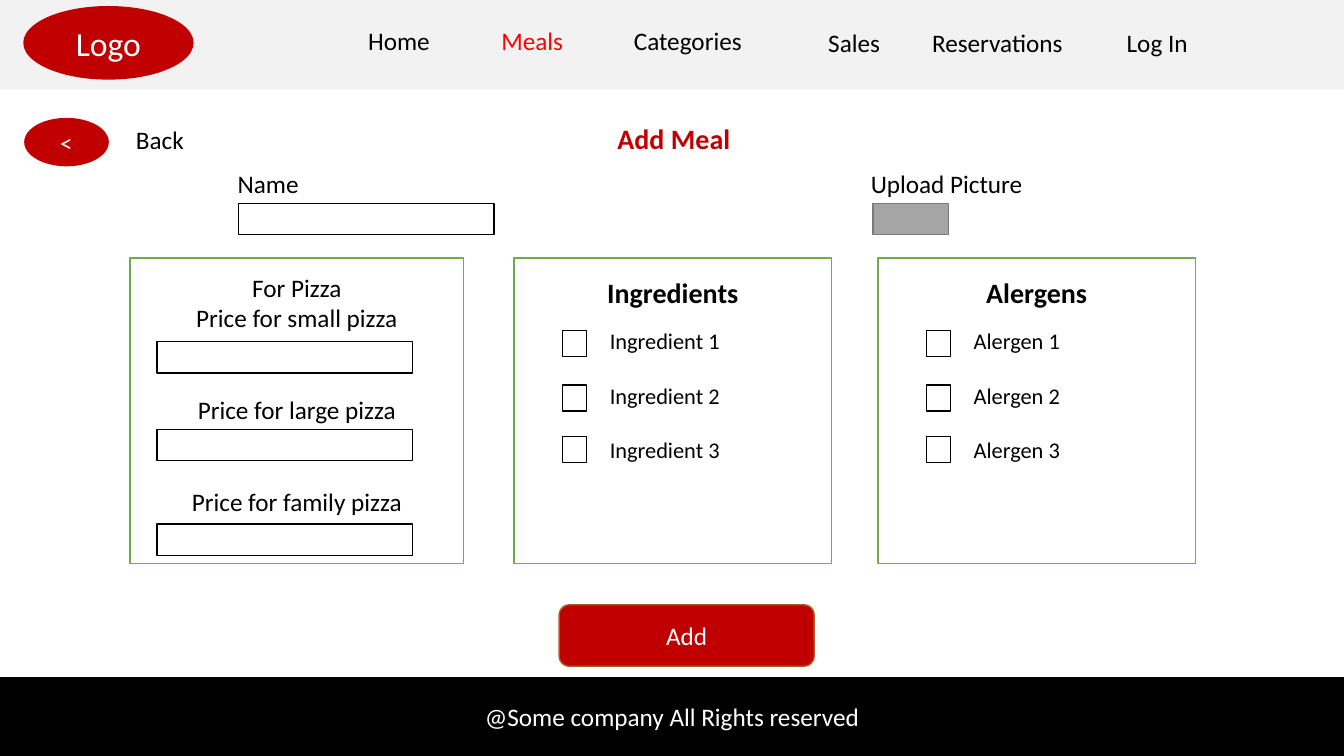
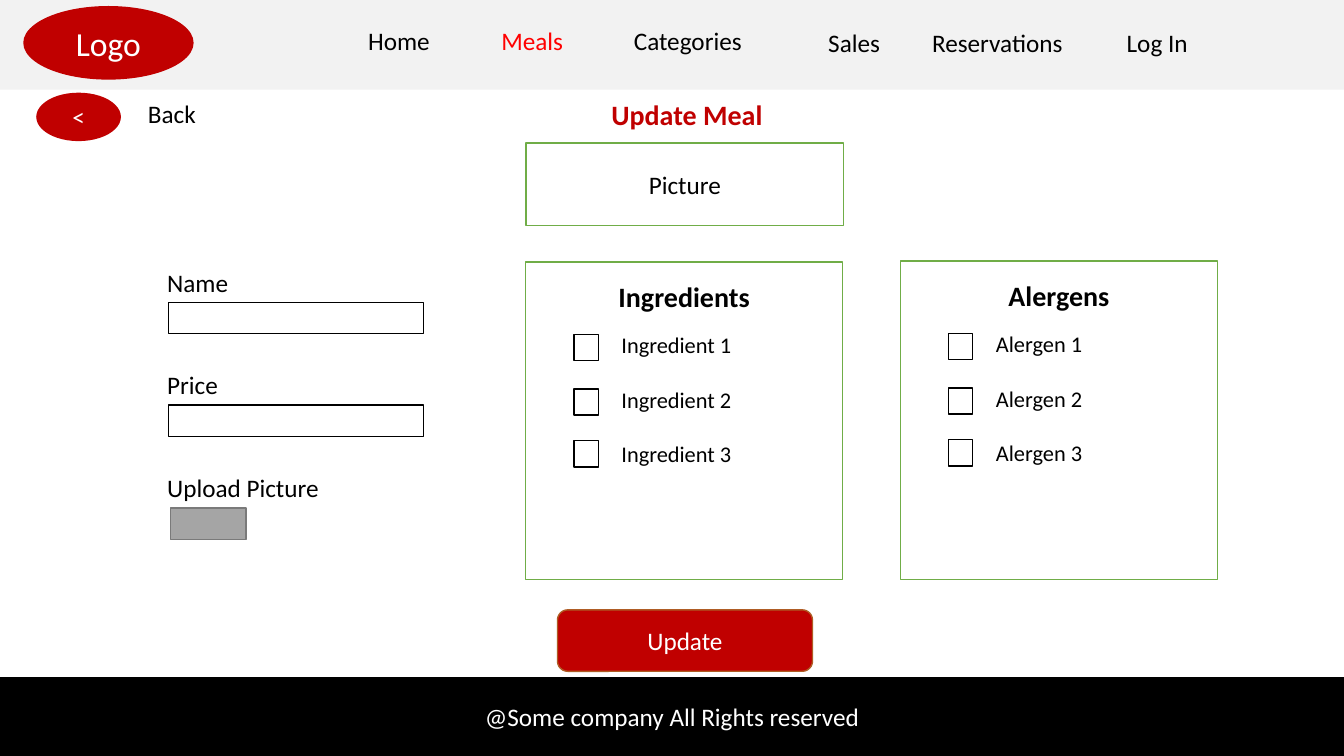
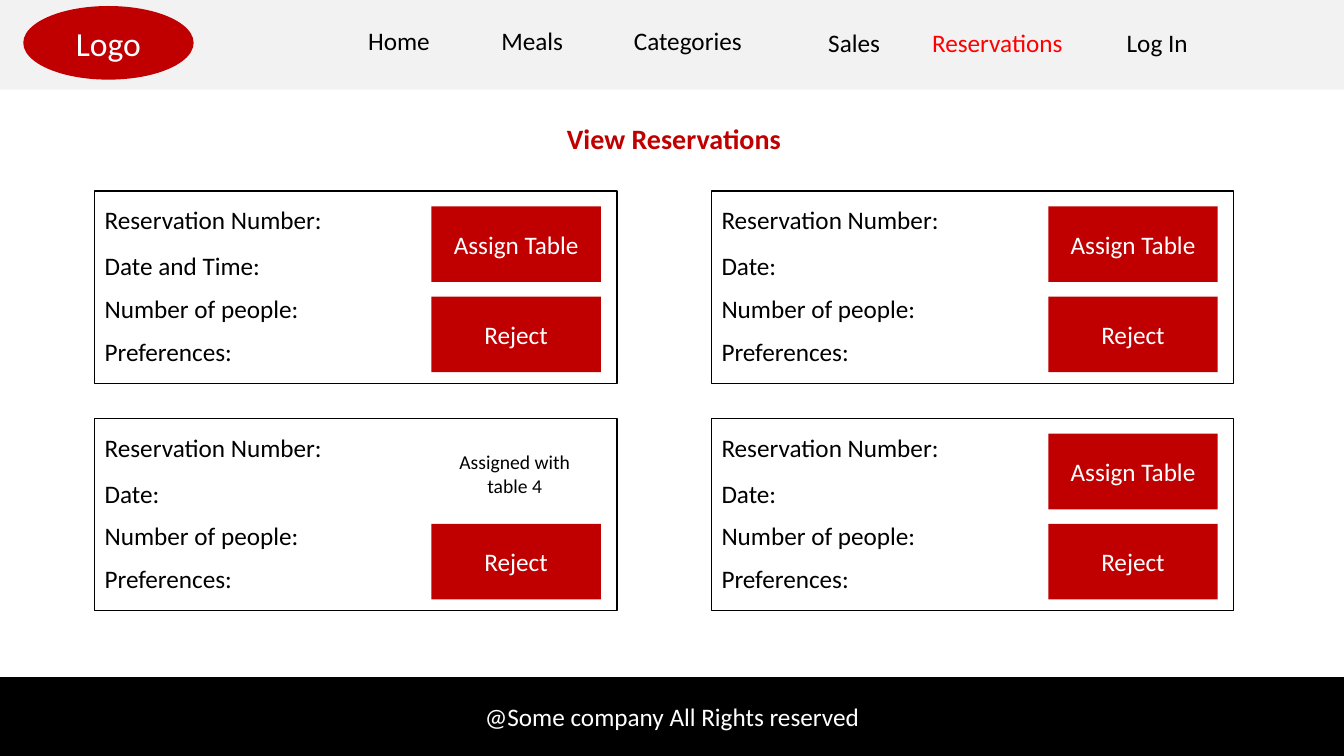
import pptx
import pptx.util
import pptx.dml.color
import pptx.enum.shapes
import pptx.enum.text
from dataclasses import dataclass
from lxml import etree

Pt = pptx.util.Pt
SHAPE = pptx.enum.shapes.MSO_SHAPE
ALIGN = pptx.enum.text.PP_ALIGN
ANCHOR = pptx.enum.text.MSO_ANCHOR


@dataclass(frozen=True)
class Theme:
    font: str = "Calibri"
    red: str = "C00000"
    active: str = "FF0000"
    black: str = "000000"
    white: str = "FFFFFF"
    band: str = "F2F2F2"
    green: str = "70AD47"
    gray: str = "A5A5A5"
    gray_edge: str = "7A7A7A"
    button_edge: str = "AF5C24"
    logo: int = 24
    title: int = 20
    text: int = 18
    item: int = 16
    note: int = 14
    line_height: float = 1.22


T = Theme()
W, H = 960, 540
FOOTER = "@Some company All Rights reserved"
NAV = [
    ("Home", 249, 14.4, 72),
    ("Meals", 344.2, 14.4, 72),
    ("Categories", 429.8, 14.4, 123),
    ("Sales", 548.6, 15.8, 123),
    ("Reservations", 650.9, 15.8, 123),
    ("Log In", 790.6, 15.8, 72),
]
INGREDIENTS = ("Ingredients", ["Ingredient 1", "Ingredient 2", "Ingredient 3"])
ALERGENS = ("Alergens", ["Alergen 1", "Alergen 2", "Alergen 3"])
MEAL_PAGES = [
    dict(title="Add Meal", title_at=(286.6, 83.5), back_at=(17.3, 84.2),
         fields=[("Name", 162.7, 116.6)], upload=(614.9, 116.6),
         upload_dx=8.6, action="Add", action_at=(399.4, 432),
         panels=[(INGREDIENTS, (367.2, 184.3, 226.8, 218.2)),
                 (ALERGENS, (627.1, 184.3, 226.8, 218.2))],
         pizza=(92.9, 184.3, 238.3, 218.2)),
    dict(title="Update Meal", title_at=(295.9, 66.2), back_at=(25.9, 66.2),
         fields=[("Name", 112.3, 187.2), ("Price", 112.3, 260.6)],
         upload=(112.3, 334.1), upload_dx=9.4,
         action="Update", action_at=(398.2, 435.6),
         panels=[(INGREDIENTS, (375.5, 187.2, 226.4, 226.8)),
                 (ALERGENS, (643, 186.5, 226.8, 227.5))],
         picture=(375.8, 102.2, 226.8, 59)),
]
PIZZA_PRICES = ["For Pizza", "Price for small pizza", "Price for large pizza",
                "Price for family pizza"]
PRICE_TOPS = (244.1, 306.7, 374.4)
CARDS = [("Date and Time:", "Assign Table"), ("Date:", "Assign Table"),
         ("Date:", "Assigned with table 4"), ("Date:", "Assign Table")]

prs = pptx.Presentation()
prs.slide_width, prs.slide_height = Pt(W), Pt(H)
TITLE_ONLY, TWO_CONTENT = prs.slide_layouts[5], prs.slide_layouts[3]


def rgb(value):
    return pptx.dml.color.RGBColor.from_string(value)


def write(sp, text, size=T.text, color=T.black, bold=False, align=ALIGN.LEFT,
          anchor=ANCHOR.TOP, gaps=None, inset_top=3.6):
    lines = [text] if isinstance(text, str) else text
    tf = sp.text_frame
    tf.auto_size = pptx.enum.text.MSO_AUTO_SIZE.NONE
    tf.word_wrap = True
    tf.vertical_anchor = anchor
    tf.margin_left = tf.margin_right = Pt(7.2)
    tf.margin_top, tf.margin_bottom = Pt(inset_top), Pt(3.6)
    for i, line in enumerate(lines):
        p = tf.paragraphs[0] if i == 0 else tf.add_paragraph()
        p.alignment = align
        p.space_before = Pt(gaps[i] if gaps else 0)
        r = p.add_run()
        r.text = line
        r.font.name, r.font.size, r.font.bold = T.font, Pt(size), bold
        r.font.color.rgb = rgb(color)
    return sp


def label(s, text, x, y, w, h=29, **fmt):
    return write(s.shapes.add_textbox(Pt(x), Pt(y), Pt(w), Pt(h)), text, **fmt)


def box(s, x, y, w, h, fill=T.white, line=None, kind=SHAPE.RECTANGLE):
    sp = s.shapes.add_shape(kind, Pt(x), Pt(y), Pt(w), Pt(h))
    sp.shadow.inherit = False
    if fill:
        sp.fill.solid()
        sp.fill.fore_color.rgb = rgb(fill)
    else:
        sp.fill.background()
    if line:
        sp.line.color.rgb = rgb(line)
        sp.line.width = Pt(1)
    else:
        sp.line.fill.background()
    return sp


def caption(sp, text, color=T.white, size=T.text):
    return write(sp, text, color=color, size=size, align=ALIGN.CENTER, anchor=ANCHOR.MIDDLE)


def place(s, sp, x, y, w, h):
    sp.left, sp.top, sp.width, sp.height = Pt(x), Pt(y), Pt(w), Pt(h)
    s.shapes.element.append(sp.element)
    return sp


def new_page(layout, title, title_at, active):
    s = prs.slides.add_slide(layout)
    box(s, 0, 0, W, 64.1, fill=T.band)
    for text, x, y, w in NAV:
        label(s, text, x, y, w, color=T.active if text == active else T.black,
              align=ALIGN.CENTER)
    caption(box(s, 16.6, 4.3, 121.7, 52.6, fill=T.red, kind=SHAPE.OVAL), "Logo", size=T.logo)
    caption(box(s, 0, 483.8, W, 56.2, fill=T.black, line=T.black), FOOTER)
    write(place(s, s.shapes.title, *title_at, 389.5, 31.5), title, size=T.title,
          color=T.red, bold=True, align=ALIGN.CENTER)
    return s


def input_box(s, x, y):
    box(s, x, y, 182.2, 22.3, line=T.black)


def check_panel(s, body, heading, items, x, y, w, h):
    box(s, x, y, w, h, line=T.green)
    label(s, heading, x, y + 9, w, 31.5, size=T.title, bold=True, align=ALIGN.CENTER)
    for dy in (51.7, 90.6, 127.6):
        box(s, x + 34.6, y + dy, 17.3, 18.7, fill=None, line=T.black)
    gap = T.item * T.line_height
    write(place(s, body, x + 61.2, y + 46, 149.8, 104.4), items, size=T.item,
          gaps=[0, gap, gap])
    for p in body.text_frame.paragraphs:
        pPr = p._p.get_or_add_pPr()
        pPr.set("marL", "0")
        pPr.set("indent", "0")
        etree.SubElement(pPr, pptx.oxml.ns.qn("a:buNone"))


def pizza_panel(s, x, y, w, h):
    line = T.text * T.line_height
    write(box(s, x, y, w, h, line=T.green), PIZZA_PRICES, align=ALIGN.CENTER,
          gaps=[0, 0, 2 * line, 2 * line], inset_top=(h - 9 * line) / 2)
    for top in PRICE_TOPS:
        input_box(s, x + 19.4, top)


def meal_page(page):
    s = new_page(TWO_CONTENT, page["title"], page["title_at"], "Meals")
    bodies = [ph for ph in s.placeholders if ph.placeholder_format.idx in (1, 2)]
    x, y = page["back_at"]
    caption(box(s, x, y, 60.5, 34.6, fill=T.red, kind=SHAPE.OVAL), "<")
    label(s, "Back", x + 72.7, y + 0.7, 52)
    for name, x, y in page["fields"]:
        label(s, name, x, y, 182.2)
        input_box(s, x + 7.9, y + 28.8)
    x, y = page["upload"]
    label(s, "Upload Picture", x, y, 128.9)
    box(s, x + page["upload_dx"], y + 28.8, 54, 22.3, fill=T.gray, line=T.gray_edge)
    for body, ((heading, items), area) in zip(bodies, page["panels"]):
        check_panel(s, body, heading, items, *area)
    if "pizza" in page:
        pizza_panel(s, *page["pizza"])
    if "picture" in page:
        caption(box(s, *page["picture"], line=T.green), "Picture", color=T.black)
    caption(box(s, *page["action_at"], 182.2, 43.9, fill=T.red, line=T.button_edge,
                kind=SHAPE.ROUNDED_RECTANGLE), page["action"])


def reservation_card(s, x, y, date, status):
    box(s, x, y, 373, 137.5, line=T.black)
    rows = ["Reservation Number:", date, "Number of people:", "Preferences:"]
    for text, dy in zip(rows, (6.1, 39.1, 69.6, 100.1)):
        label(s, text, x, y + dy, 172.8)
    buttons = [(status, 11), ("Reject", 75.4)]
    for text, dy in buttons:
        if text.startswith("Assigned"):
            label(s, text, x + 239.5, y + 19.4, 121, 41, size=T.note, align=ALIGN.CENTER)
        else:
            caption(box(s, x + 240.5, y + dy, 121, 54, fill=T.red), text)


for page in MEAL_PAGES:
    meal_page(page)

s = new_page(TITLE_ONLY, "View Reservations", (286.6, 83.5), "Reservations")
for i, (date, status) in enumerate(CARDS):
    row, col = divmod(i, 2)
    reservation_card(s, 67.7 + col * 440.6, 136.4 + row * 162.4, date, status)

prs.save("out.pptx")
